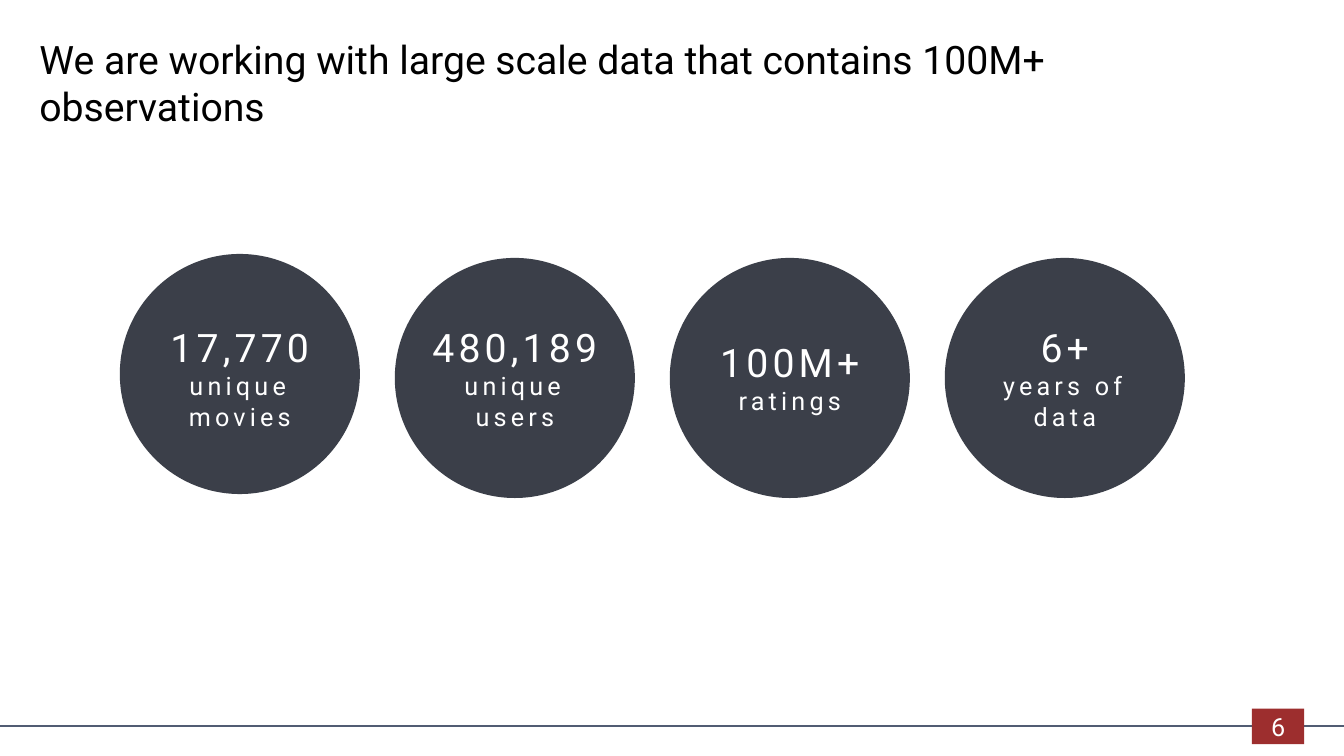
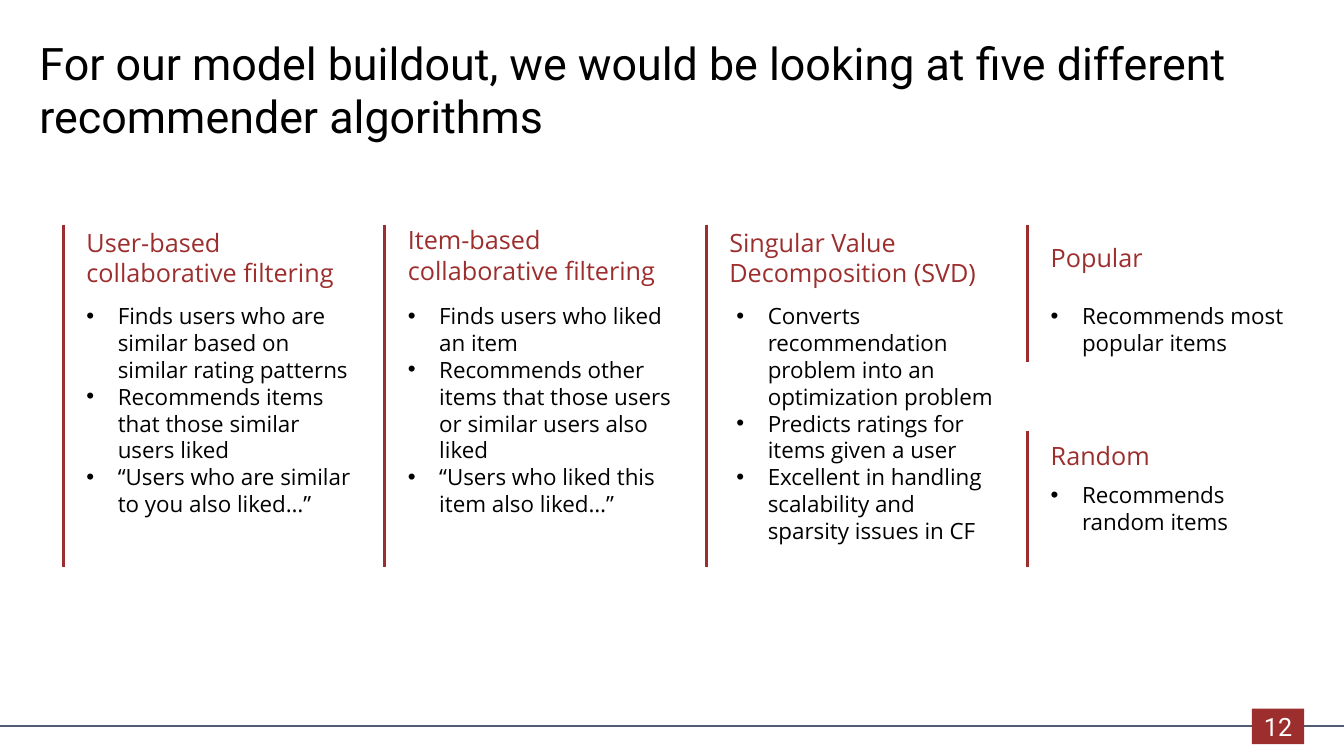
from lxml import etree
from pptx import Presentation
from pptx.dml.color import RGBColor
from pptx.enum.shapes import MSO_CONNECTOR, MSO_SHAPE
from pptx.enum.text import MSO_ANCHOR, MSO_AUTO_SIZE, PP_ALIGN
from pptx.oxml.ns import qn
from pptx.util import Cm, Pt

STRAIGHT = MSO_CONNECTOR.STRAIGHT
RECTANGLE, OVAL = MSO_SHAPE.RECTANGLE, MSO_SHAPE.OVAL
TOP, MIDDLE = MSO_ANCHOR.TOP, MSO_ANCHOR.MIDDLE
LEFT, CENTER = PP_ALIGN.LEFT, PP_ALIGN.CENTER
NO_AUTOFIT = MSO_AUTO_SIZE.NONE

COLORS = {
    "red": "9D2E2E",
    "navy": "262B36",
    "slate": "515C73",
    "black": "000000",
    "white": "FFFFFF",
}
SLIDE_WIDTH, SLIDE_HEIGHT = 33.87, 19.05
FOOTER_Y = 18.29
TITLE_ONLY = 5

CIRCLE_SIZE, CIRCLE_LEFT, CIRCLE_PITCH = 6.05, 3.02, 6.93
LABEL_WIDTH = 4.93
FACTS = [
    ("17,770", "unique movies", 6.4, 8.03),
    ("480,189", "unique users", 6.5, 8.03),
    ("100M+", "ratings", 6.5, 8.41),
    ("6+", "years of data", 6.5, 8.03),
]

BAR_LEFT, BAR_PITCH = 1.6, 8.1
BAR_TOP, BAR_BOTTOM = 5.66, 14.3
SPLIT_TOP, SPLIT_BOTTOM = 9.12, 10.85
HEADING_INDENT, HEADING_WIDTH = 0.33, 7.42
ALGORITHMS = [
    (0, BAR_TOP, BAR_BOTTOM, "User-based collaborative filtering", 5.61, 7.49, 0.33, 7.42, [
        "Finds users who are similar based on similar rating patterns",
        "Recommends items that those similar users liked",
        "“Users who are similar to you also liked…”",
    ]),
    (1, BAR_TOP, BAR_BOTTOM, "Item-based collaborative filtering", 5.54, 7.49, 0.33, 7.26, [
        "Finds users who liked an item",
        "Recommends other items that those users or similar users also liked",
        "“Users who liked this item also liked…”",
    ]),
    (2, BAR_TOP, BAR_BOTTOM, "Singular Value Decomposition (SVD)", 5.61, 7.49, 0.51, 7.01, [
        "Converts recommendation problem into an optimization problem",
        "Predicts ratings for items given a user",
        "Excellent in handling scalability and sparsity issues in CF",
    ]),
    (3, BAR_TOP, SPLIT_TOP, "Popular", 5.99, 7.49, 0.33, 6.88,
     ["Recommends most popular items"]),
    (3, SPLIT_BOTTOM, BAR_BOTTOM, "Random", 10.97, 12.01, 0.33, 6.88,
     ["Recommends random items"]),
]


class Deck:
    def __init__(self):
        self.presentation = Presentation()
        self.presentation.slide_width = Cm(SLIDE_WIDTH)
        self.presentation.slide_height = Cm(SLIDE_HEIGHT)
        self.slide = None

    def new_slide(self, title, title_size, number):
        layout = self.presentation.slide_layouts[TITLE_ONLY]
        self.slide = self.presentation.slides.add_slide(layout)
        heading = self.slide.shapes.title
        heading.left, heading.top = Cm(0.74), Cm(0.76)
        heading.width, heading.height = Cm(31.2), Cm(3)
        frame = heading.text_frame
        frame.auto_size = NO_AUTOFIT
        frame.vertical_anchor = TOP
        frame.text = title
        self.style(frame.paragraphs[0], title_size, "black", "Roboto", LEFT)
        self.line(-0.05, FOOTER_Y, SLIDE_WIDTH, FOOTER_Y, "slate", 1.5)
        self.badge(number)

    def style(self, paragraph, size, color, font="Open Sans", align=LEFT):
        paragraph.alignment = align
        paragraph.font.size = Pt(size)
        paragraph.font.name = font
        paragraph.font.color.rgb = RGBColor.from_string(COLORS[color])

    def line(self, x1, y1, x2, y2, color, width):
        line = self.slide.shapes.add_connector(STRAIGHT, Cm(x1), Cm(y1), Cm(x2), Cm(y2))
        line.line.color.rgb = RGBColor.from_string(COLORS[color])
        line.line.width = Pt(width)
        etree.SubElement(line._element.spPr, qn("a:effectLst"))

    def shape(self, preset, left, top, width, height, color):
        shape = self.slide.shapes.add_shape(preset, Cm(left), Cm(top), Cm(width), Cm(height))
        shape.shadow.inherit = False
        shape.fill.solid()
        shape.fill.fore_color.rgb = RGBColor.from_string(COLORS[color])
        shape.line.fill.background()
        return shape

    def badge(self, number):
        frame = self.shape(RECTANGLE, 31.55, 17.86, 1.32, 0.89, "red").text_frame
        frame.margin_left = frame.margin_right = frame.margin_top = frame.margin_bottom = 0
        frame.vertical_anchor = MIDDLE
        frame.text = str(number)
        self.style(frame.paragraphs[0], 18, "white", "Roboto", CENTER)

    def text(self, left, top, width, height, lines):
        box = self.slide.shapes.add_textbox(Cm(left), Cm(top), Cm(width), Cm(height))
        box.text_frame.word_wrap = True
        box.text_frame.text = "\n".join(lines)
        return box.text_frame.paragraphs

    def fact(self, left, top, label_top, figure, caption):
        circle = self.shape(OVAL, left, top, CIRCLE_SIZE, CIRCLE_SIZE, "navy")
        fill_color = circle._element.spPr.find(qn("a:solidFill"))[0]
        etree.SubElement(fill_color, qn("a:alpha"), val="90000")
        label_left = left + (CIRCLE_SIZE - LABEL_WIDTH) / 2
        label = self.text(label_left, label_top, LABEL_WIDTH, 3, [figure, caption])
        for paragraph, size in zip(label, (28, 18)):
            self.style(paragraph, size, "white", "Roboto", CENTER)
            paragraph._p.pPr.find(qn("a:defRPr")).set("spc", "300")

    def heading(self, left, top, wording):
        paragraphs = self.text(left, top, HEADING_WIDTH, 1.8, [wording])
        self.style(paragraphs[0], 18, "red")

    def bullets(self, left, top, width, items):
        for paragraph in self.text(left, top, width, 0.9 * len(items) * 2, items):
            properties = paragraph._p.get_or_add_pPr()
            properties.set("marL", str(Cm(0.79)))
            properties.set("indent", str(-Cm(0.79)))
            etree.SubElement(properties, qn("a:buFont"), typeface="Arial")
            etree.SubElement(properties, qn("a:buChar"), char="•")
            self.style(paragraph, 16, "black")


def main():
    deck = Deck()

    deck.new_slide("We are working with large scale data that contains 100M+ observations", 28, 6)
    for index, (figure, caption, top, label_top) in enumerate(FACTS):
        deck.fact(CIRCLE_LEFT + index * CIRCLE_PITCH, top, label_top, figure, caption)

    deck.new_slide("For our model buildout, we would be looking at five different "
                   "recommender algorithms", 32, 12)
    for (column, bar_top, bar_bottom, name, name_top,
         points_top, points_indent, points_width, points) in ALGORITHMS:
        left = BAR_LEFT + column * BAR_PITCH
        deck.line(left, bar_top, left, bar_bottom, "red", 2)
        deck.heading(left + HEADING_INDENT, name_top, name)
        deck.bullets(left + points_indent, points_top, points_width, points)

    deck.presentation.save("out.pptx")


if __name__ == "__main__":
    main()
